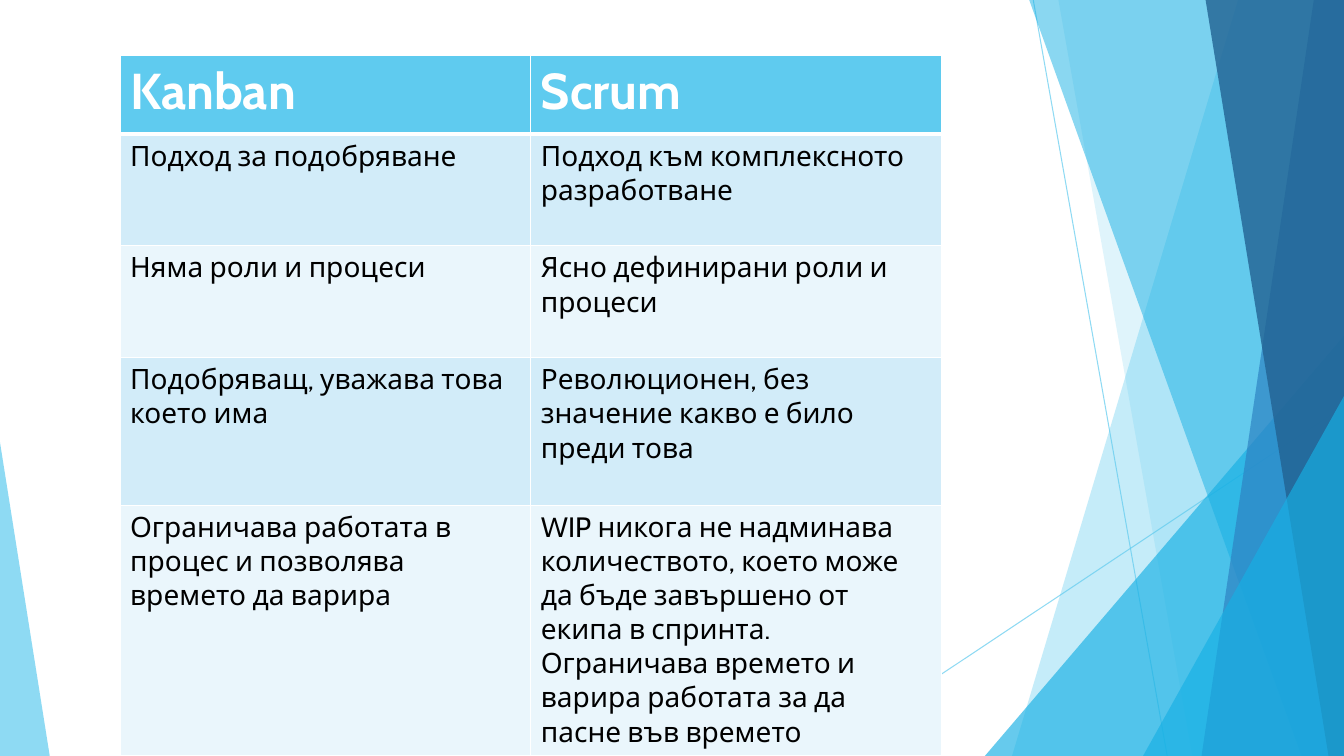
from lxml.etree import SubElement
from pptx import Presentation
from pptx.dml.color import RGBColor
from pptx.enum.shapes import MSO_CONNECTOR as Connector, MSO_SHAPE as Preset
from pptx.oxml.ns import qn
from pptx.util import Inches, Pt

SLIDE_W, SLIDE_H = Inches(13.33), Inches(7.5)
FONT = "Cabin"

WHITE = RGBColor(0xFF, 0xFF, 0xFF)
BLACK = RGBColor(0x00, 0x00, 0x00)
SKY = RGBColor(0x5F, 0xCB, 0xEF)
CYAN = RGBColor(0x17, 0xB0, 0xE4)
BLUE = RGBColor(0x2E, 0x83, 0xC3)
NAVY = RGBColor(0x22, 0x62, 0x92)
BAND_DARK = RGBColor(0xD2, 0xEC, 0xF9)
BAND_LIGHT = RGBColor(0xEA, 0xF6, 0xFC)

# All positions are percentages of the slide's width or height
RAYS = [((76.88, 0), (86.85, 100)), ((100, 53.73), (60.9, 100))]

# Facets reach the right edge: left end at the top, left end at the bottom
PALE_FACETS = [(92.12, 75.3, SKY, 36), (78.75, 88.72, SKY, 20)]
DEEP_FACETS = [(76.58, 96.83, CYAN, 50), (97.75, 89.4, BLUE, 70),
               (89.7, 98.85, NAVY, 80)]

COMPARISON = [
    ("Kanban", "Scrum"),
    ("Подход за подобряване", "Подход към комплексното разработване"),
    ("Няма роли и процеси", "Ясно дефинирани роли и процеси"),
    ("Подобряващ, уважава това което има",
     "Революционен, без значение какво е било преди това"),
    ("Ограничава работата в процес и позволява времето да варира",
     "WIP никога не надминава количеството, което може да бъде завършено "
     "от екипа в спринта. Ограничава времето и варира работата за да пасне "
     "във времето"),
]
ROW_HEIGHTS = [10.4, 14.8, 14.8, 19.5, 33.17]
TABLE_LEFT, TABLE_TOP, COLUMN_WIDTH = 8.93, 7.33, 30.56


def across(percent):
    return round(SLIDE_W * percent / 100)


def down(percent):
    return round(SLIDE_H * percent / 100)


def set_opacity(fill, opacity):
    color = fill._xPr.find(qn("a:solidFill"))[0]
    SubElement(color, qn("a:alpha"), val=str(opacity * 1000))


def paint(shape, color, opacity):
    shape.shadow.inherit = False
    shape.line.fill.background()
    shape.fill.solid()
    shape.fill.fore_color.rgb = color
    set_opacity(shape.fill, opacity)


def add_ray(slide, start, end):
    ray = slide.shapes.add_connector(
        Connector.STRAIGHT, across(start[0]), down(start[1]),
        across(end[0]), down(end[1]))
    ray.line.width = Pt(0.75)
    ray.line.color.rgb = SKY
    set_opacity(ray.line.fill, 70)
    SubElement(ray._element.spPr, qn("a:effectLst"))


def add_facet(slide, top_left, bottom_left, color, opacity):
    outline = slide.shapes.build_freeform(across(top_left), 0)
    outline.add_line_segments([
        (SLIDE_W, 0), (SLIDE_W, SLIDE_H), (across(bottom_left), SLIDE_H)])
    paint(outline.convert_to_shape(), color, opacity)


def add_corner(slide, left, right, top, apex, color, opacity):
    """Add a triangle standing on the slide's bottom edge."""
    corner = slide.shapes.add_shape(
        Preset.ISOSCELES_TRIANGLE, across(left), down(top),
        across(right - left), down(100 - top))
    corner.adjustments[0] = apex
    paint(corner, color, opacity)


def add_borders(cell, bottom_width, top_width):
    widths = {"L": 1, "R": 1, "T": top_width, "B": bottom_width}
    for side, width in widths.items():
        border = SubElement(cell._tc.get_or_add_tcPr(), qn(f"a:ln{side}"),
                            w=str(Pt(width)))
        fill = SubElement(border, qn("a:solidFill"))
        SubElement(fill, qn("a:srgbClr"), val=str(WHITE))


def fill_cell(cell, text, row):
    header = row == 0
    add_borders(cell, 3 if header else 1, 3 if row == 1 else 1)
    cell.fill.solid()
    band = BAND_DARK if row % 2 else BAND_LIGHT
    cell.fill.fore_color.rgb = SKY if header else band
    cell.text_frame.text = text
    font = cell.text_frame.paragraphs[0].runs[0].font
    font.name = FONT
    font.size = Pt(36 if header else 20)
    font.bold = header
    font.color.rgb = WHITE if header else BLACK


def add_comparison(slide):
    columns = len(COMPARISON[0])
    table = slide.shapes.add_table(
        len(COMPARISON), columns, across(TABLE_LEFT), down(TABLE_TOP),
        across(COLUMN_WIDTH * columns), down(sum(ROW_HEIGHTS))).table
    for column in table.columns:
        column.width = across(COLUMN_WIDTH)
    for row, (texts, height) in enumerate(zip(COMPARISON, ROW_HEIGHTS)):
        table.rows[row].height = down(height)
        for column, text in enumerate(texts):
            fill_cell(table.cell(row, column), text, row)


def main():
    deck = Presentation()
    deck.slide_width, deck.slide_height = SLIDE_W, SLIDE_H
    slide = deck.slides.add_slide(deck.slide_layouts[6])

    # Decoration, from back to front
    for start, end in RAYS:
        add_ray(slide, start, end)
    for facet in PALE_FACETS:
        add_facet(slide, *facet)
    add_corner(slide, 73.28, 100, 44.4, 1, CYAN, 66)
    for facet in DEEP_FACETS:
        add_facet(slide, *facet)
    add_corner(slide, 85.05, 100, 52.4, 1, CYAN, 66)
    add_corner(slide, 0, 3.7, 58.53, 0, SKY, 70)

    # Kanban against Scrum
    add_comparison(slide)
    deck.save("out.pptx")


if __name__ == "__main__":
    main()
